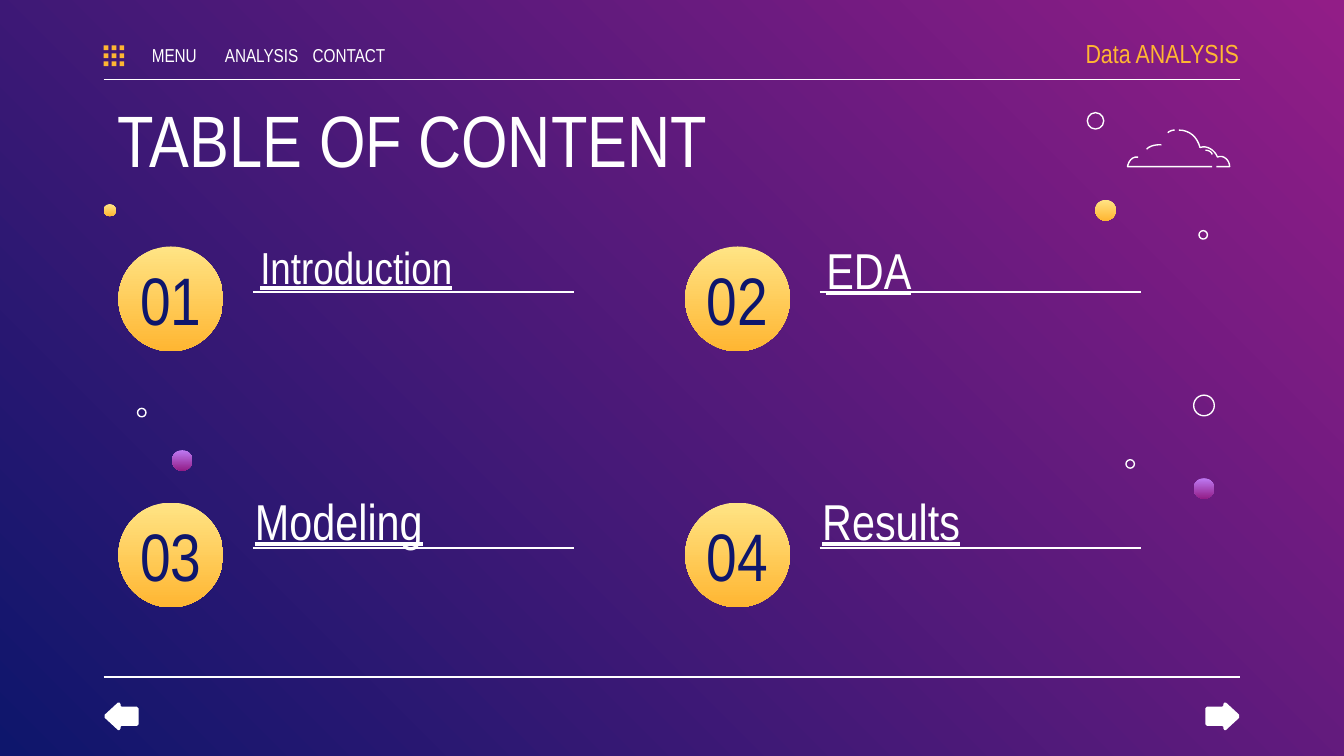
from lxml.etree import SubElement
from pptx import Presentation
from pptx.dml.color import RGBColor
from pptx.enum.shapes import MSO_CONNECTOR, MSO_SHAPE
from pptx.enum.text import MSO_ANCHOR, PP_ALIGN
from pptx.oxml.ns import qn
from pptx.util import Cm, Pt

COLORS = {
    "white": "FFFFFF",
    "navy": "0E166C",
    "magenta": "921D87",
    "violet": "BE7AF3",
    "amber": "FFB632",
    "yellow": "FFE485",
}
RGB = {name: RGBColor.from_string(value) for name, value in COLORS.items()}
GRADIENTS = {"gold": ("yellow", "amber"), "purple": ("violet", "magenta")}


def set_gradient(fill, names, angle):
    fill.gradient()
    fill.gradient_angle = angle
    for stop, name, position in zip(fill.gradient_stops, names, (0, 1)):
        stop.color.rgb = RGB[name]
        stop.position = position


def add_text(text, box, size, color="white", align=PP_ALIGN.LEFT,
             anchor=MSO_ANCHOR.TOP, left=0.25, right=0.25, underline=None):
    tf = s.shapes.add_textbox(*map(Cm, box)).text_frame
    tf.word_wrap = True
    tf.vertical_anchor = anchor
    tf.margin_left, tf.margin_right = Cm(left), Cm(right)
    tf.margin_top = tf.margin_bottom = Cm(0.25)
    p = tf.paragraphs[0]
    p.text = text
    p.alignment = align
    p.font.name = "Arial Narrow"
    p.font.size = Pt(size)
    p.font.underline = underline
    p.font.color.rgb = RGB[color]


prs = Presentation()
prs.slide_width, prs.slide_height = Cm(25.4), Cm(14.29)
s = prs.slides.add_slide(prs.slide_layouts[6])
set_gradient(s.background.fill, ("magenta", "navy"), 225)

columns, rows, diameter = (2.24, 12.95), (4.66, 9.5), 1.98
cells = [(x, y) for y in rows for x in columns]

rules = [(1.96, 1.5, 21.48), (1.96, 12.8, 21.48)]
rules += [(x + 2.54, y + 0.86, 6.07) for x, y in cells]
for x, y, length in rules:
    line = s.shapes.add_connector(
        MSO_CONNECTOR.STRAIGHT, Cm(x), Cm(y), Cm(x + length), Cm(y))
    line.line.color.rgb = RGB["white"]
    line.line.width = Pt(0.75)
    SubElement(line._element.spPr, qn("a:effectLst"))

circles = [(x, y, diameter, "gold") for x, y in cells]
circles += [
    (20.7, 3.78, 0.39, "gold"),
    (1.96, 3.86, 0.23, "gold"),
    (22.56, 9.04, 0.39, "purple"),
    (3.25, 8.51, 0.39, "purple"),
    (22.66, 4.36, 0.16, "ring"),
    (20.55, 2.13, 0.31, "ring"),
    (22.56, 7.47, 0.39, "ring"),
    (21.28, 8.69, 0.16, "ring"),
    (2.6, 7.72, 0.16, "ring"),
]
for x, y, d, style in circles:
    sp = s.shapes.add_shape(MSO_SHAPE.OVAL, Cm(x), Cm(y), Cm(d), Cm(d))
    sp.shadow.inherit = False
    if style == "ring":
        sp.fill.background()
        sp.line.color.rgb = RGB["white"]
        sp.line.width = Pt(0.75)
    else:
        set_gradient(sp.fill, GRADIENTS[style], 270)
        sp.line.fill.background()

add_text("TABLE OF CONTENT", (1.98, 1.55, 21.44, 1.68), 39)
headings = [
    ("Introduction", 4.67, 4.29, 24),
    ("EDA", 15.37, 4.27, 27),
    ("Modeling", 4.57, 9.02, 27),
    ("Results", 15.29, 9.02, 27),
]
for number, ((x, y), (text, left, top, size)) in enumerate(zip(cells, headings), 1):
    add_text(text, (left, top, 7.7, 1.22), size, underline=True)
    add_text(f"{number:02d}", (x, y + 0.5, diameter, 0.97), 36, "navy",
             PP_ALIGN.CENTER, MSO_ANCHOR.MIDDLE)

add_text("Data ANALYSIS", (19.61, 0.58, 3.81, 0.84), 14, "amber",
         PP_ALIGN.RIGHT, MSO_ANCHOR.MIDDLE, right=0)
for i, text in enumerate(("MENU", "ANALYSIS", "CONTACT")):
    add_text(text, (2.57 + 1.65 * i, 0.76, 1.45, 0.58), 10,
             align=PP_ALIGN.CENTER, anchor=MSO_ANCHOR.MIDDLE, left=0, right=0)

grid = s.shapes.add_group_shape()
for i in range(9):
    sp = grid.shapes.add_shape(
        MSO_SHAPE.RECTANGLE, Cm(1.96 + 0.15 * (i // 3)),
        Cm(0.86 + 0.15 * (i % 3)), Cm(0.09), Cm(0.09))
    sp.shadow.inherit = False
    sp.fill.solid()
    sp.fill.fore_color.rgb = RGB["amber"]
    sp.line.fill.background()

half = [(0, 0.03), (0.25, 0.26), (0.28, 0.26), (0.3, 0.23), (0.3, 0.2),
        (0.32, 0.18), (0.61, 0.18), (0.64, 0.15)]
arrow = half + [(dx, -dy) for dx, dy in reversed(half)]
for tip, direction in ((1.98, 1), (23.42, -1)):
    points = [(Cm(tip + direction * dx), Cm(13.54 + dy)) for dx, dy in arrow]
    builder = s.shapes.build_freeform(*points[0])
    builder.add_line_segments(points[1:], close=True)
    sp = builder.convert_to_shape()
    sp.shadow.inherit = False
    sp.fill.solid()
    sp.fill.fore_color.rgb = RGB["white"]
    sp.line.fill.background()

cloud_strokes = [
    [(22.28, 2.46),
     [(22.48, 2.46), (22.63, 2.59), (22.68, 2.79)],
     [(22.81, 2.74), (22.96, 2.84), (23.01, 2.97)],
     [(23.11, 2.92), (23.24, 3.02), (23.24, 3.15)],
     [(22.99, 3.15)]],
    [(22.2, 2.46), [(22.2, 2.46), (22.12, 2.46), (22.07, 2.51)]],
    [(22.91, 3.15), [(21.31, 3.15)],
     [(21.31, 3.15), (21.34, 2.95), (21.51, 2.97)]],
    [(22.78, 2.84), [(22.78, 2.84), (22.89, 2.84), (22.91, 2.92)]],
    [(21.95, 2.74), [(21.95, 2.74), (21.77, 2.72), (21.67, 2.82)]],
]
cloud = s.shapes.add_group_shape()
for start, *segments in cloud_strokes:
    points = [start]
    for segment in segments:
        if len(segment) == 1:
            points += segment
            continue
        curve = [points[-1], *segment]
        for t in (step / 8 for step in range(1, 9)):
            weights = ((1 - t) ** 3, 3 * t * (1 - t) ** 2, 3 * t * t * (1 - t), t ** 3)
            points.append(tuple(
                sum(w * pt[axis] for w, pt in zip(weights, curve)) for axis in (0, 1)))
    points = [(Cm(x), Cm(y)) for x, y in points]
    builder = cloud.shapes.build_freeform(*points[0])
    builder.add_line_segments(points[1:], close=False)
    sp = builder.convert_to_shape()
    sp.shadow.inherit = False
    sp.fill.background()
    sp.line.color.rgb = RGB["white"]
    sp.line.width = Pt(0.75)

prs.save("out.pptx")
